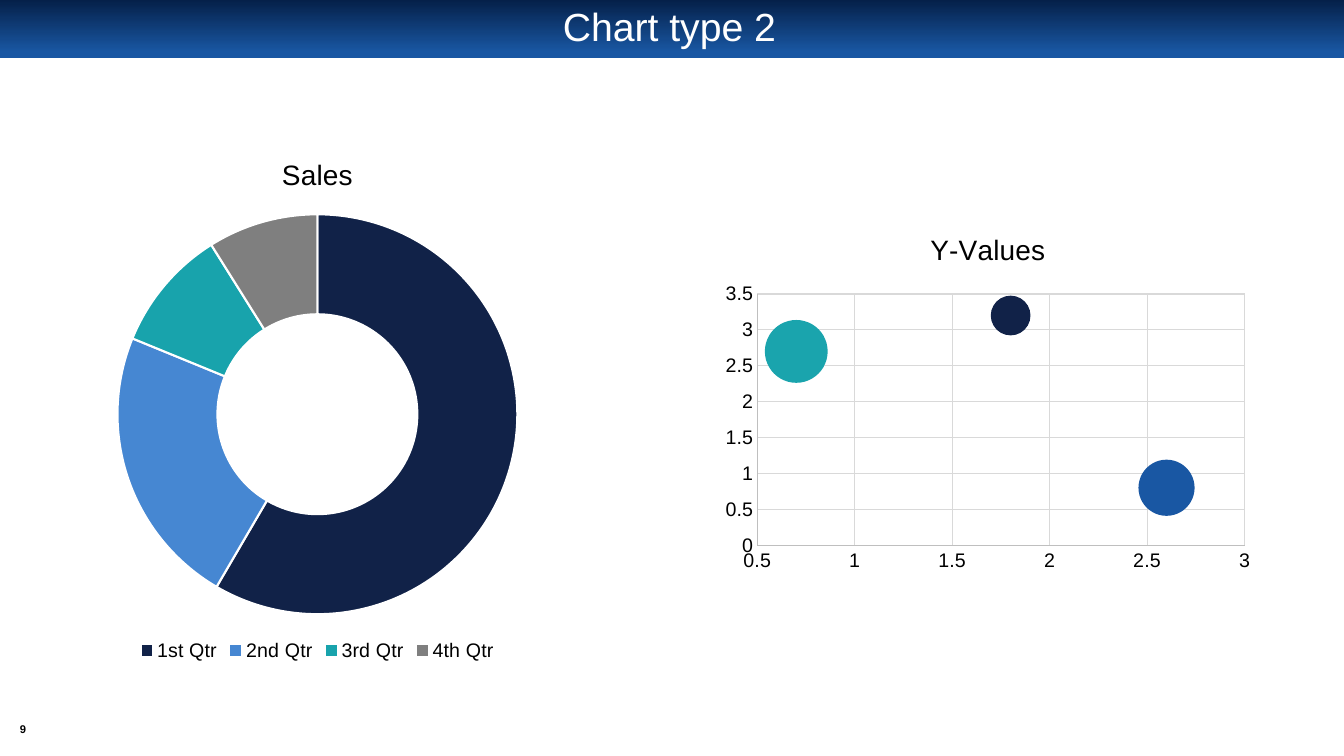
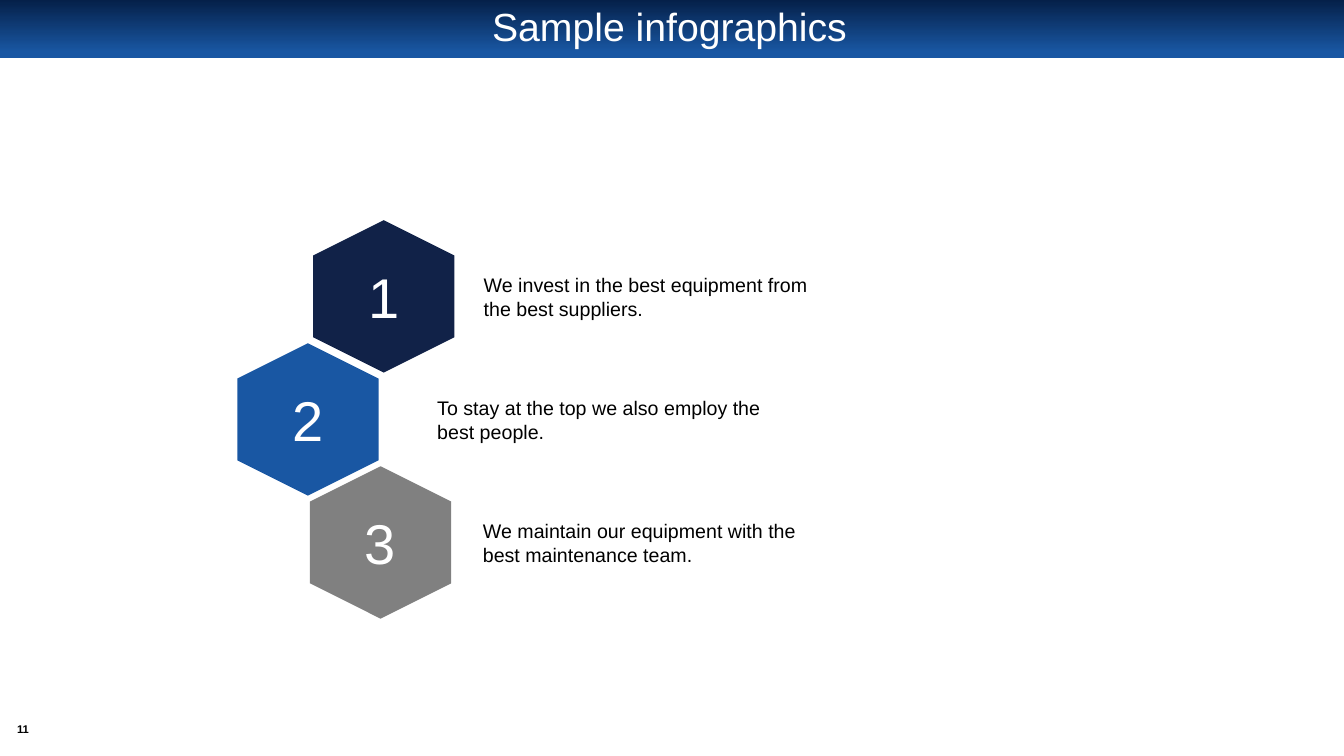
"""Build a chart slide and an infographic slide in one shared style."""
from pptx import Presentation
from pptx import util as u
from pptx.chart import data as cd
from pptx.dml.color import RGBColor
from pptx.enum import chart as ec, shapes, text

HUES = {
    "navy": "112248", "dark": "052049", "blue": "1957A3", "sky": "4687D2",
    "teal": "18A3AC", "aqua": "1AA4AD", "ash": "7F7F7F", "gray": "808080",
    "grid": "D9D9D9", "axis": "BFBFBF", "white": "FFFFFF", "black": "000000",
}
RGB = {name: RGBColor.from_string(hue) for name, hue in HUES.items()}
FACE = "Arial"
MID = text.PP_ALIGN.CENTER
LEFT = text.PP_ALIGN.LEFT


def write(slide, words, box, size, hue="black", align=LEFT, bold=False):
    frame = slide.shapes.add_textbox(*map(u.Cm, box)).text_frame
    frame.word_wrap = True
    frame.vertical_anchor = text.MSO_ANCHOR.MIDDLE
    frame.margin_left = frame.margin_right = 0
    frame.margin_top = frame.margin_bottom = 0
    para = frame.paragraphs[0]
    para.text = words
    para.alignment = align
    font = para.font
    font.name, font.size, font.bold = FACE, u.Pt(size), bold
    font.color.rgb = RGB[hue]
    return para


def plot(slide, kind, box, data, title, hues):
    chart = slide.shapes.add_chart(kind, *map(u.Cm, box), data).chart
    chart.has_title = True
    chart.has_legend = False
    para = chart.chart_title.text_frame.paragraphs[0]
    para.text = title
    for font, size in ((chart.font, 14), (para.font, 20)):
        font.name, font.size, font.bold = FACE, u.Pt(size), False
        font.color.rgb = RGB["black"]
    for i, hue in enumerate(hues):
        fill = chart.plots[0].series[0].points[i].format.fill
        fill.solid()
        fill.fore_color.rgb = RGB[hue]
    return chart


deck = Presentation()
deck.slide_width, deck.slide_height = u.Cm(33.87), u.Cm(19.05)
pages = []
for title, number in (("Chart type 2", "9"), ("Sample infographics", "11")):
    page = deck.slides.add_slide(deck.slide_layouts[6])
    band = page.shapes.add_shape(
        shapes.MSO_SHAPE.RECTANGLE, 0, 0, deck.slide_width, u.Cm(1.47))
    band.shadow.inherit = False
    band.line.fill.background()
    band.fill.gradient()
    band.fill.gradient_angle = 270
    for stop, hue, spot in zip(band.fill.gradient_stops, ("dark", "blue"), (0, 0.9)):
        stop.color.rgb = RGB[hue]
        stop.position = spot
    head = write(page, title, (1.68, 0.15, 30.38, 1.14), 28, "white", MID)
    head.line_spacing = 0.9
    write(page, number, (0.2, 18.14, 0.76, 0.48), 8, align=MID, bold=True)
    pages.append(page)
charts, steps = pages

sales = cd.CategoryChartData()
sales.categories = ["1st Qtr", "2nd Qtr", "3rd Qtr", "4th Qtr"]
sales.add_series("Sales", (59, 23, 10, 9))
ring = plot(charts, ec.XL_CHART_TYPE.DOUGHNUT, (0, 3.43, 16, 13.34), sales,
            "Sales", ("navy", "sky", "teal", "ash"))
ring.plots[0].vary_by_categories = True
ring._chartSpace.xpath(".//c:holeSize")[0].set("val", "75")
for i in range(4):
    edge = ring.plots[0].series[0].points[i].format.line
    edge.color.rgb = RGB["white"]
    edge.width = u.Pt(1.5)
ring.has_legend = True
ring.legend.position = ec.XL_LEGEND_POSITION.BOTTOM
ring.legend.include_in_layout = False
ring.legend.font.name, ring.legend.font.size = FACE, u.Pt(14)
ring.legend.font.color.rgb = RGB["black"]

spots = cd.BubbleChartData()
series = spots.add_series("Y-Values")
for x, y, size in ((0.7, 2.7, 10), (1.8, 3.2, 4), (2.6, 0.8, 8)):
    series.add_data_point(x, y, size)
cloud = plot(charts, ec.XL_CHART_TYPE.BUBBLE, (18.01, 5.41, 13.77, 9.17), spots,
             "Y-Values", ("aqua", "navy", "blue"))
for vary in cloud._chartSpace.xpath(".//c:varyColors"):
    vary.set("val", "0")
for axis, low, high in ((cloud.category_axis, 0.5, 3), (cloud.value_axis, 0, 3.5)):
    axis.minimum_scale, axis.maximum_scale = low, high
    axis.major_tick_mark = axis.minor_tick_mark = ec.XL_TICK_MARK.NONE
    axis.has_major_gridlines = True
    font = axis.tick_labels.font
    font.name, font.size = FACE, u.Pt(14)
    font.color.rgb = RGB["black"]
    for part, hue in ((axis, "axis"), (axis.major_gridlines, "grid")):
        part.format.line.color.rgb = RGB[hue]
        part.format.line.width = u.Pt(0.75)

wide, tall, pitch = 3.84, 3.56, 3.1
items = (
    ("navy", 7.75, 12.19, 8.91, "We invest in the best equipment from the best suppliers."),
    ("blue", 5.84, 11.02, 8.28, "To stay at the top we also employ the best people."),
    ("gray", 7.67, 12.17, 8.61, "We maintain our equipment with the best maintenance team."),
)
for i, (hue, left, start, span, words) in enumerate(items):
    top = 5.69 + i * pitch
    box = (left, top, wide, tall)
    cell = steps.shapes.add_shape(shapes.MSO_SHAPE.HEXAGON, *map(u.Cm, box))
    cell.rotation = 90
    cell.shadow.inherit = False
    cell.line.fill.background()
    cell.fill.solid()
    cell.fill.fore_color.rgb = RGB[hue]
    write(steps, str(i + 1), box, 40, "white", MID)
    write(steps, words, (start, top, span, tall), 14)

deck.save("out.pptx")
